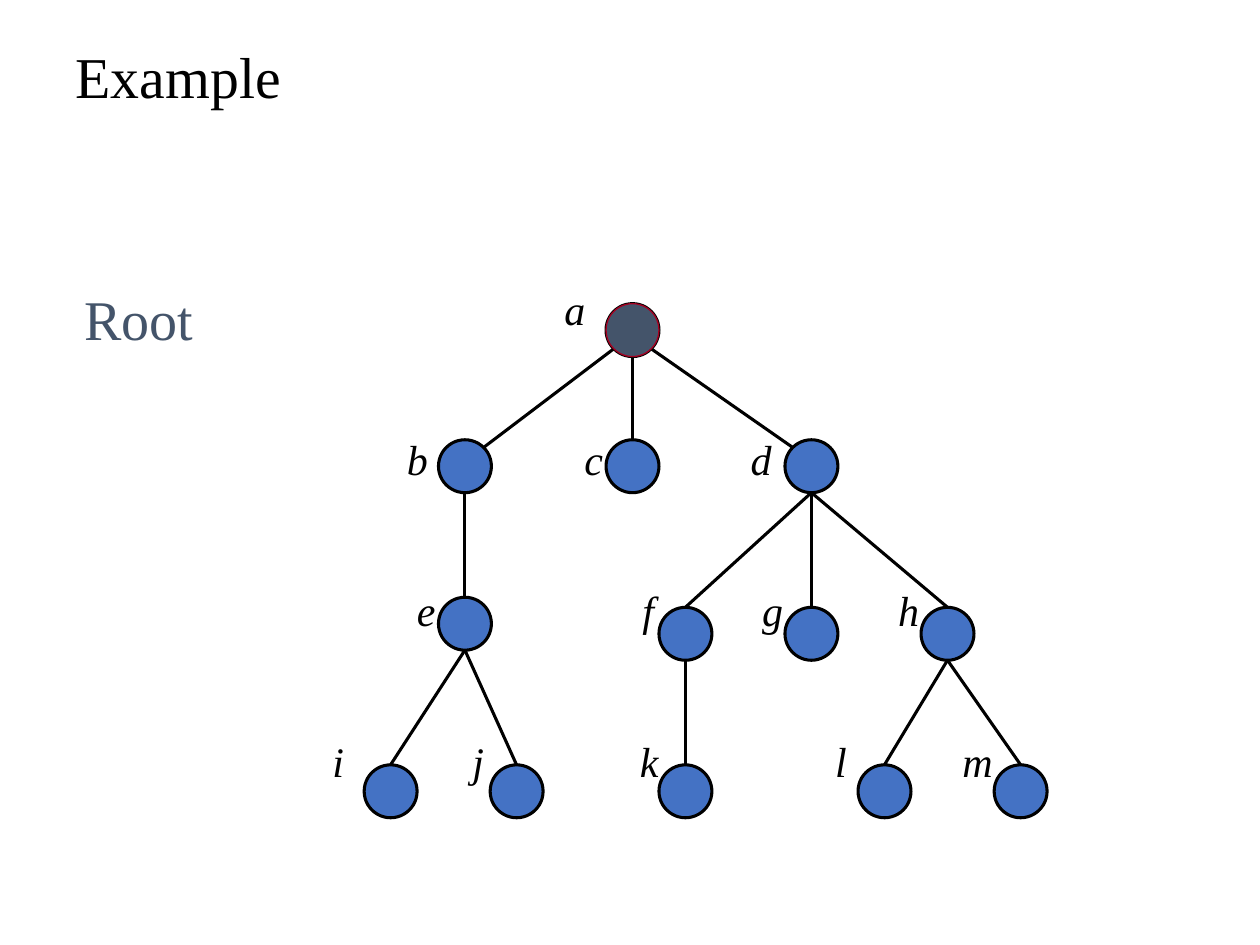
from dataclasses import dataclass
from math import sqrt

from lxml.etree import SubElement
from pptx import Presentation
from pptx.dml.color import RGBColor
from pptx.enum.shapes import MSO_CONNECTOR, MSO_SHAPE
from pptx.enum.text import MSO_ANCHOR, MSO_AUTO_SIZE, PP_ALIGN
from pptx.oxml.ns import qn
from pptx.util import Inches, Pt


@dataclass(frozen=True)
class Theme:
    font: str = "Times New Roman"
    ink: str = "000000"
    node: str = "4472C4"
    root: str = "44546A"
    root_line: str = "A50021"
    title_size: float = 33
    root_size: float = 32
    label_size: float = 24
    line_width: float = 1.75
    root_line_width: float = 0.75


THEME = Theme()
DIAMETER = 0.42
RADIUS = DIAMETER / 2
DIAGONAL = RADIUS / sqrt(2)

NODES = {
    "a": (5.02, 2.62),
    "b": (3.69, 3.7), "c": (5.02, 3.7), "d": (6.44, 3.7),
    "e": (3.69, 4.95), "f": (5.44, 5.03), "g": (6.44, 5.03), "h": (7.52, 5.03),
    "i": (3.1, 6.28), "j": (4.1, 6.28), "k": (5.44, 6.28),
    "l": (7.02, 6.28), "m": (8.1, 6.28),
}
CHILDREN = {"a": "bcd", "b": "e", "d": "fgh", "e": "ij", "f": "k", "h": "lm"}
LABEL_ROWS = [
    {"a": 2.09},
    {"b": 0.84, "c": 2.25, "d": 3.57},
    {"e": 0.92, "f": 2.71, "g": 3.66, "h": 4.74},
    {"i": 0.25, "j": 1.36, "k": 2.69, "l": 4.24, "m": 5.25},
]
LABEL_LINE = 28.7
LABEL_GAP = 2 * LABEL_LINE


def set_attrs(target, **values):
    for name, value in values.items():
        setattr(target, name, value)


def style_font(font, size, color, italic=False):
    set_attrs(font, name=THEME.font, size=Pt(size), italic=italic, bold=False)
    font.color.rgb = RGBColor.from_string(color)


def place(sp, box):
    names = ("left", "top", "width", "height")
    set_attrs(sp, **dict(zip(names, map(Inches, box))))


def add_title(s, box, text):
    sp = s.shapes.title
    place(sp, box)
    tf = sp.text_frame
    set_attrs(tf, text=text, vertical_anchor=MSO_ANCHOR.MIDDLE,
              auto_size=MSO_AUTO_SIZE.NONE)
    p = tf.paragraphs[0]
    set_attrs(p, alignment=PP_ALIGN.LEFT, line_spacing=0.9)
    style_font(p.runs[0].font, THEME.title_size, THEME.ink)


def add_node(shapes, center, fill, line, width):
    x, y = center
    sp = shapes.add_shape(MSO_SHAPE.OVAL, Inches(x - RADIUS), Inches(y - RADIUS),
                          Inches(DIAMETER), Inches(DIAMETER))
    sp.shadow.inherit = False
    sp.fill.solid()
    sp.fill.fore_color.rgb = RGBColor.from_string(fill)
    sp.line.color.rgb = RGBColor.from_string(line)
    sp.line.width = Pt(width)


def add_edge(shapes, parent, child):
    (x1, y1), (x2, y2) = NODES[parent], NODES[child]
    dx, dy = 0, RADIUS
    if parent == "a" and x1 != x2:
        dx, dy = (DIAGONAL if x2 > x1 else -DIAGONAL), DIAGONAL
    ends = (x1 + dx, y1 + dy, x2 - dx, y2 - dy)
    line = shapes.add_connector(MSO_CONNECTOR.STRAIGHT, *map(Inches, ends))
    line.line.color.rgb = RGBColor.from_string(THEME.ink)
    line.line.width = Pt(THEME.line_width)
    SubElement(line._element.spPr, qn("a:effectLst"))


def add_labels(shapes, box):
    tf = shapes.add_textbox(*map(Inches, box)).text_frame
    set_attrs(tf, word_wrap=True, margin_right=0)
    for i, row in enumerate(LABEL_ROWS):
        p = tf.add_paragraph() if i else tf.paragraphs[0]
        tabs = SubElement(p._p.get_or_add_pPr(), qn("a:tabLst"))
        for x in row.values():
            SubElement(tabs, qn("a:tab"), pos=str(Inches(x)), algn="l")
        set_attrs(p, line_spacing=Pt(LABEL_LINE),
                  space_before=Pt(LABEL_GAP if i else 0))
        r = p.add_run()
        r.text = "".join("\t" + name for name in row)
        style_font(r.font, THEME.label_size, THEME.ink, italic=True)


def add_tree(s, label_box):
    shapes = s.shapes.add_group_shape().shapes
    for center in NODES.values():
        add_node(shapes, center, THEME.node, THEME.ink, THEME.line_width)
    for parent, children in CHILDREN.items():
        for child in children:
            add_edge(shapes, parent, child)
    add_labels(shapes, label_box)


def add_root_mark(s, box, text):
    add_node(s.shapes, NODES["a"], THEME.root, THEME.root_line,
             THEME.root_line_width)
    tf = s.shapes.add_textbox(*map(Inches, box)).text_frame
    set_attrs(tf, text=text, word_wrap=False)
    style_font(tf.paragraphs[0].runs[0].font, THEME.root_size, THEME.root)


def main():
    prs = Presentation()
    set_attrs(prs, slide_width=Inches(10), slide_height=Inches(7.5))
    s = prs.slides.add_slide(prs.slide_layouts[5])
    add_title(s, (0.5, 0.17, 9, 0.92), "Example")
    add_tree(s, (2.29, 2.2, 5.7, 4.09))
    add_root_mark(s, (0.57, 2.21, 1.07, 0.63), "Root")
    prs.save("out.pptx")


if __name__ == "__main__":
    main()
